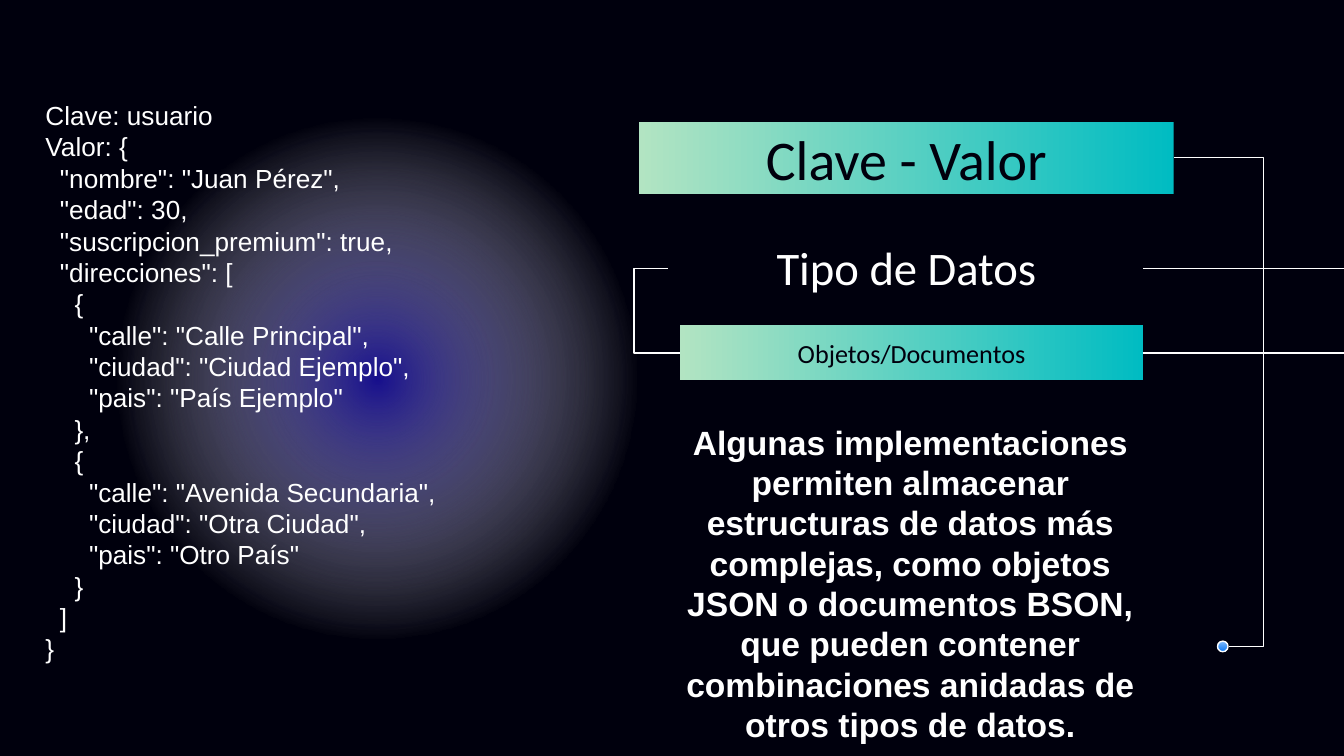
from dataclasses import dataclass
from typing import Any, Optional

from lxml import etree
from pptx import Presentation
from pptx.dml.color import RGBColor
from pptx.enum.shapes import MSO_CONNECTOR, MSO_SHAPE
from pptx.enum.text import MSO_ANCHOR, MSO_AUTO_SIZE, PP_ALIGN
from pptx.oxml import parse_xml
from pptx.oxml.ns import nsdecls, qn
from pptx.util import Cm, Pt

RECT, OVAL = MSO_SHAPE.RECTANGLE, MSO_SHAPE.OVAL
LINE, ELBOW = MSO_CONNECTOR.STRAIGHT, MSO_CONNECTOR.ELBOW
TOP, MID = MSO_ANCHOR.TOP, MSO_ANCHOR.MIDDLE
LEFT, CENTER = PP_ALIGN.LEFT, PP_ALIGN.CENTER
NO_FIT = MSO_AUTO_SIZE.NONE

NIGHT = RGBColor(0x00, 0x00, 0x0D)
WHITE = RGBColor(0xFF, 0xFF, 0xFF)
TEAL = RGBColor(0x00, 0xBC, 0xC2)
MINT = RGBColor(0xB2, 0xE4, 0xC2)
SKY = RGBColor(0x82, 0xBC, 0xFE)
BLUE = RGBColor(0x0C, 0x77, 0xF1)
INDIGO = RGBColor(0x17, 0x0F, 0x8D)

WIDE, HIGH = 25.4, 14.29
STEP = Pt(7.78)


@dataclass
class Box:
    x: float
    y: float
    w: float
    h: float


@dataclass
class Style:
    font: str
    size: float
    color: RGBColor
    bold: bool = False
    align: Any = CENTER
    anchor: Any = TOP
    pitch: Optional[float] = None
    inset: float = 0.25


@dataclass
class Wire:
    x1: float
    y1: float
    x2: float
    y2: float
    bend: Optional[float] = None


CODE = [
    (0, 'Clave: usuario'),
    (0, 'Valor: {'),
    (1, '"nombre": "Juan Pérez",'),
    (1, '"edad": 30,'),
    (1, '"suscripcion_premium": true,'),
    (1, '"direcciones": ['),
    (2, '{'),
    (3, '"calle": "Calle Principal",'),
    (3, '"ciudad": "Ciudad Ejemplo",'),
    (3, '"pais": "País Ejemplo"'),
    (2, '},'),
    (2, '{'),
    (3, '"calle": "Avenida Secundaria",'),
    (3, '"ciudad": "Otra Ciudad",'),
    (3, '"pais": "Otro País"'),
    (2, '}'),
    (1, ']'),
    (0, '}'),
]
NOTE = ("Algunas implementaciones permiten almacenar estructuras de datos más "
        "complejas, como objetos JSON o documentos BSON, que pueden contener "
        "combinaciones anidadas de otros tipos de datos.")
WIRES = [
    Wire(23.22, 12.22, 22.18, 2.98, -0.63),
    Wire(12.62, 5.08, 12.85, 6.67, -2.78),
    Wire(21.61, 5.08, WIDE, 5.08),
]


def place(shape: Any, box: Box) -> None:
    shape.left, shape.top = Cm(box.x), Cm(box.y)
    shape.width, shape.height = Cm(box.w), Cm(box.h)


def write(shape: Any, lines: list[tuple[int, str]], style: Style) -> None:
    frame = shape.text_frame
    frame.text = "\n".join(text for _, text in lines)
    frame.word_wrap = True
    frame.auto_size = NO_FIT
    frame.vertical_anchor = style.anchor
    frame.margin_left = frame.margin_right = Cm(0.25)
    frame.margin_top = frame.margin_bottom = Cm(style.inset)
    for para, (level, _) in zip(frame.paragraphs, lines):
        para.alignment = style.align
        para.font.name = style.font
        para.font.size = Pt(style.size)
        para.font.bold = style.bold
        para.font.color.rgb = style.color
        if style.pitch:
            para.line_spacing = Pt(style.pitch)
        if level:
            para._p.get_or_add_pPr().set("marL", str(level * STEP))


def add_text(slide: Any, box: Box, lines: list[tuple[int, str]], style: Style) -> None:
    shape = slide.shapes.add_textbox(0, 0, 0, 0)
    place(shape, box)
    write(shape, lines, style)


def add_form(slide: Any, kind: Any, box: Box, start: RGBColor, end: RGBColor,
             angle: float) -> Any:
    shape = slide.shapes.add_shape(kind, 0, 0, 0, 0)
    place(shape, box)
    shape.shadow.inherit = False
    shape.line.fill.background()
    shape.fill.gradient()
    shape.fill.gradient_angle = angle
    for stop, color in zip(shape.fill.gradient_stops, (start, end)):
        stop.color.rgb = color
    return shape


def add_glow(slide: Any, box: Box) -> None:
    shape = add_form(slide, OVAL, box, INDIGO, WHITE, 0)
    clear = f'<a:srgbClr val="{WHITE}"><a:alpha val="0"/></a:srgbClr>'
    grad = parse_xml(
        f'<a:gradFill {nsdecls("a")} rotWithShape="1"><a:gsLst>'
        f'<a:gs pos="0"><a:srgbClr val="{INDIGO}"/></a:gs>'
        f'<a:gs pos="61000">{clear}</a:gs><a:gs pos="100000">{clear}</a:gs>'
        '</a:gsLst><a:path path="circle">'
        '<a:fillToRect l="50000" t="50000" r="50000" b="50000"/>'
        '</a:path></a:gradFill>')
    props = shape._element.spPr
    props.replace(props.find(qn("a:gradFill")), grad)


def add_wire(slide: Any, wire: Wire) -> Any:
    kind = LINE if wire.bend is None else ELBOW
    link = slide.shapes.add_connector(
        kind, Cm(wire.x1), Cm(wire.y1), Cm(wire.x2), Cm(wire.y2))
    link.line.color.rgb = WHITE
    link.line.width = Pt(0.75)
    props = link._element.spPr
    etree.SubElement(props, qn("a:effectLst"))
    if wire.bend is not None:
        guides = props.find(qn("a:prstGeom")).find(qn("a:avLst"))
        etree.SubElement(guides, qn("a:gd"), name="adj1",
                         fmla=f"val {round(wire.bend * 100000)}")
    return link


def main() -> None:
    deck = Presentation()
    deck.slide_width, deck.slide_height = Cm(WIDE), Cm(HIGH)
    slide = deck.slides.add_slide(deck.slide_layouts[5])
    slide.background.fill.solid()
    slide.background.fill.fore_color.rgb = NIGHT

    add_glow(slide, Box(1.12, 1.75, 12.01, 10.8))
    add_form(slide, RECT, Box(12.07, 2.31, 10.11, 1.35), TEAL, MINT, 180)
    bar = add_form(slide, RECT, Box(12.85, 6.15, 8.76, 1.04), TEAL, MINT, 180)
    write(bar, [(0, "Objetos/Documentos")], Style("Calibri", 14, NIGHT, anchor=MID))

    for wire in WIRES:
        add_wire(slide, wire)
    tail = add_wire(slide, Wire(21.61, 6.67, WIDE, 6.67))
    tail.begin_connect(bar, 3)
    dot = add_form(slide, OVAL, Box(23.01, 12.12, 0.2, 0.2), SKY, BLUE, 270)
    dot.line.color.rgb = WHITE
    dot.line.width = Pt(0.75)

    title = slide.shapes.title
    place(title, Box(12.62, 2.11, 9.02, 1.6))
    write(title, [(0, "Clave - Valor")], Style("Calibri", 30, NIGHT))
    slide.shapes._spTree.append(title._element)

    add_text(slide, Box(12.62, 4.27, 9.02, 1.6), [(0, "Tipo de Datos")],
             Style("Calibri", 25, WHITE))
    add_text(slide, Box(12.24, 7.72, 9.93, 5), [(0, NOTE)],
             Style("Arial", 18, WHITE, bold=True, pitch=21.6))
    add_text(slide, Box(0.61, 1.75, 10.9, 11.02), CODE,
             Style("Arial", 14, WHITE, align=LEFT, pitch=16.8, inset=0.13))
    deck.save("out.pptx")


if __name__ == "__main__":
    main()
